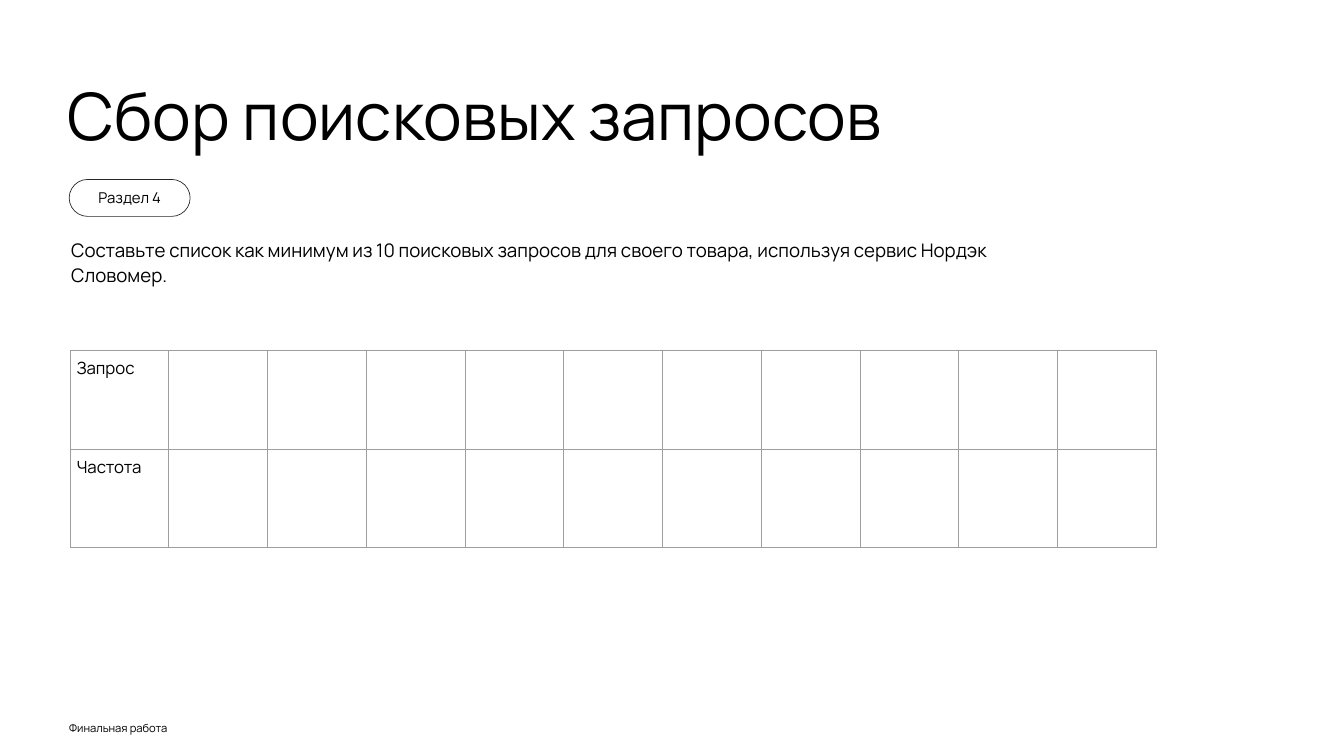
"""Builds the slide on collecting search queries, with an empty table to fill in."""
from dataclasses import dataclass

from lxml import etree
from pptx import Presentation
from pptx.dml.color import RGBColor
from pptx.enum.shapes import MSO_SHAPE
from pptx.enum.text import MSO_ANCHOR, PP_ALIGN
from pptx.oxml.ns import qn
from pptx.util import Inches, Pt

ROUNDED = MSO_SHAPE.ROUNDED_RECTANGLE
TOP, MIDDLE = MSO_ANCHOR.TOP, MSO_ANCHOR.MIDDLE
LEFT, CENTER = PP_ALIGN.LEFT, PP_ALIGN.CENTER


@dataclass(frozen=True)
class Theme:
    font: str = "Manrope"
    background: str = "FFFFFF"
    text: str = "000000"
    outline: str = "262626"
    grid: str = "9E9E9E"
    title_size: int = 70
    body_size: int = 20
    table_size: int = 18
    badge_size: int = 16
    footer_size: int = 12
    line_width: float = 0.75


THEME = Theme()


def write_text(frame, text, size, margins=(0.1, 0.1), align=LEFT, anchor=TOP, spacing=None):
    frame.word_wrap = True
    frame.vertical_anchor = anchor
    frame.margin_left = frame.margin_right = Inches(margins[0])
    frame.margin_top = frame.margin_bottom = Inches(margins[1])
    paragraph = frame.paragraphs[0]
    paragraph.alignment = align
    paragraph.line_spacing = spacing
    run = paragraph.add_run()
    run.text = text
    run.font.name = THEME.font
    run.font.size = Pt(size)
    run.font.color.rgb = RGBColor.from_string(THEME.text)


def set_borders(cell, color, width):
    properties = cell._tc.get_or_add_tcPr()
    for position, side in enumerate(("a:lnL", "a:lnR", "a:lnT", "a:lnB")):
        line = etree.Element(qn(side), w=str(Pt(width)))
        fill = etree.SubElement(line, qn("a:solidFill"))
        etree.SubElement(fill, qn("a:srgbClr"), val=color)
        properties.insert(position, line)


presentation = Presentation()
presentation.slide_width = Inches(20)
presentation.slide_height = Inches(11.25)
slide = presentation.slides.add_slide(presentation.slide_layouts[6])
slide.background.fill.solid()
slide.background.fill.fore_color.rgb = RGBColor.from_string(THEME.background)

footer = slide.shapes.add_textbox(Inches(0.88), Inches(10.66), Inches(2.29), Inches(0.35))
write_text(footer.text_frame, "Финальная работа", THEME.footer_size, margins=(0.15, 0.07))

task = slide.shapes.add_textbox(Inches(0.86), Inches(3.3), Inches(14.81), Inches(3.34))
write_text(
    task.text_frame,
    "Составьте список как минимум из 10 поисковых запросов для своего товара, "
    "используя сервис Нордэк Словомер.",
    THEME.body_size, margins=(0.2, 0.2), spacing=1.15,
)

badge = slide.shapes.add_shape(ROUNDED, Inches(1.03), Inches(2.67), Inches(1.8), Inches(0.55))
badge.adjustments[0] = 0.5
badge.shadow.inherit = False
badge.fill.background()
badge.line.color.rgb = RGBColor.from_string(THEME.outline)
badge.line.width = Pt(THEME.line_width)
write_text(badge.text_frame, "Раздел 4", THEME.badge_size, align=CENTER, anchor=MIDDLE)

title = slide.shapes.add_textbox(Inches(0.86), Inches(1.05), Inches(19), Inches(2.51))
write_text(title.text_frame, "Сбор поисковых запросов", THEME.title_size, margins=(0.15, 0.07))

row_labels = ("Запрос", "Частота")
column_count = 11
cell_size = Inches(1.47)
table = slide.shapes.add_table(
    len(row_labels), column_count, Inches(1.04), Inches(5.21),
    cell_size * column_count, cell_size * len(row_labels),
).table
table.first_row = False
table.horz_banding = False
for column in table.columns:
    column.width = cell_size
for row, label in zip(table.rows, row_labels):
    row.height = cell_size
    for cell in row.cells:
        cell.fill.background()
        set_borders(cell, THEME.grid, THEME.line_width)
    header = row.cells[0]
    header.margin_left = header.margin_right = Inches(0.1)
    header.margin_top = header.margin_bottom = Inches(0.1)
    write_text(header.text_frame, label, THEME.table_size)

presentation.save("out.pptx")
